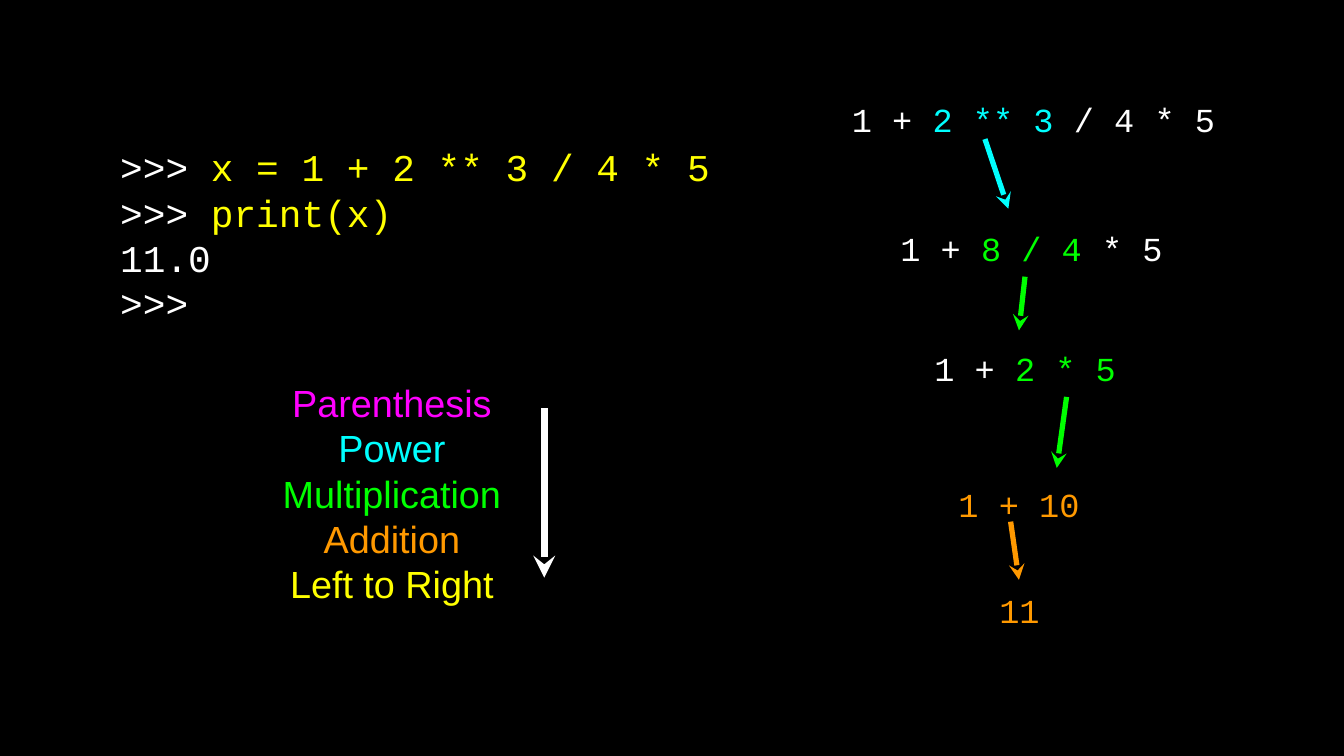
"""Builds a slide on operator precedence in Python expressions."""
from dataclasses import dataclass

from lxml import etree
from pptx import Presentation
from pptx import util as u
from pptx.dml.color import RGBColor
from pptx.enum import shapes, text
from pptx.oxml import ns


@dataclass(frozen=True)
class Theme:
    black: str = "000000"
    white: str = "FFFFFF"
    yellow: str = "FFFF00"
    magenta: str = "FF00FF"
    cyan: str = "00FFFF"
    green: str = "00FF00"
    orange: str = "FF9900"
    code_font: str = "Courier New"
    label_font: str = "Arial"
    large: int = 36
    medium: int = 32
    leading: float = 1.2
    code_drop: float = 0.06


class SlideBuilder:
    def __init__(self, slide, theme):
        self.slide = slide
        self.theme = theme
        slide.background.fill.solid()
        slide.background.fill.fore_color.rgb = RGBColor.from_string(theme.black)

    def add_lines(self, box, lines, size, font, align=text.PP_ALIGN.LEFT):
        frame = self.slide.shapes.add_textbox(*map(u.Inches, box)).text_frame
        frame.word_wrap = True
        frame.vertical_anchor = text.MSO_ANCHOR.MIDDLE
        frame.margin_left = frame.margin_right = 0
        frame.margin_top = frame.margin_bottom = 0
        for index, line in enumerate(lines):
            paragraph = frame.add_paragraph() if index else frame.paragraphs[0]
            paragraph.alignment = align
            paragraph.line_spacing = u.Pt(size * self.theme.leading)
            for wording, color in line:
                run = paragraph.add_run()
                run.text = wording
                run.font.name = font
                run.font.size = u.Pt(size)
                run.font.color.rgb = RGBColor.from_string(color)

    def add_code(self, box, lines, size):
        left, top, width, height = box
        dropped = (left, top + self.theme.code_drop, width, height)
        self.add_lines(dropped, lines, size, self.theme.code_font)

    def add_labels(self, box, lines):
        self.add_lines(box, lines, self.theme.large, self.theme.label_font,
                       text.PP_ALIGN.CENTER)

    def add_arrow(self, start, end, color, weight=5):
        arrow = self.slide.shapes.add_connector(
            shapes.MSO_CONNECTOR.STRAIGHT, *map(u.Inches, start + end))
        arrow.line.color.rgb = RGBColor.from_string(color)
        arrow.line.width = u.Pt(weight)
        properties = arrow.element.spPr
        etree.SubElement(properties.find(ns.qn("a:ln")),
                         ns.qn("a:tailEnd"), type="stealth")
        etree.SubElement(properties, ns.qn("a:effectLst"))


def main():
    theme = Theme()
    deck = Presentation()
    deck.slide_width, deck.slide_height = u.Inches(17.78), u.Inches(10)
    builder = SlideBuilder(deck.slides.add_slide(deck.slide_layouts[6]), theme)
    white, yellow = theme.white, theme.yellow
    cyan, green, orange = theme.cyan, theme.green, theme.orange

    evaluation_steps = [
        (11.27, 1.08, 5.06,
         [("1 + ", white), ("2 ** 3", cyan), (" / 4 * 5", white)]),
        (11.91, 2.78, 4.42,
         [("1 + ", white), ("8 / 4", green), (" * 5", white)]),
        (12.36, 4.38, 3.52, [("1 + ", white), ("2 * 5", green)]),
        (12.68, 6.17, 2.47, [("1 + 10", orange)]),
        (13.22, 7.58, 0.79, [("11", orange)]),
    ]
    for left, top, width, expression in evaluation_steps:
        builder.add_code((left, top, width, 0.87), [expression], theme.medium)

    reductions = [
        ((13.03, 1.84), (13.34, 2.76), cyan),
        ((13.56, 3.66), (13.48, 4.37), green),
        ((14.11, 5.25), (13.98, 6.19), green),
        ((13.37, 6.9), (13.48, 7.67), orange),
    ]
    for start, end, color in reductions:
        builder.add_arrow(start, end, color)

    session = [
        [(">>> ", white), ("x = 1 + 2 ** 3 / 4 * 5", yellow)],
        [(">>> ", white), ("print(x)", yellow)],
        [("11.0", white)],
        [(">>>", white)],
    ]
    builder.add_code((1.59, 1.43, 8.04, 3.23), session, theme.large)

    precedence = [
        ("Parenthesis", theme.magenta),
        ("Power", cyan),
        ("Multiplication", green),
        ("Addition", orange),
        ("Left to Right", yellow),
    ]
    builder.add_labels((3.55, 4.87, 3.27, 3.3), [[rule] for rule in precedence])
    builder.add_arrow((7.2, 5.4), (7.2, 7.64), white, weight=7)

    deck.save("out.pptx")


if __name__ == "__main__":
    main()
